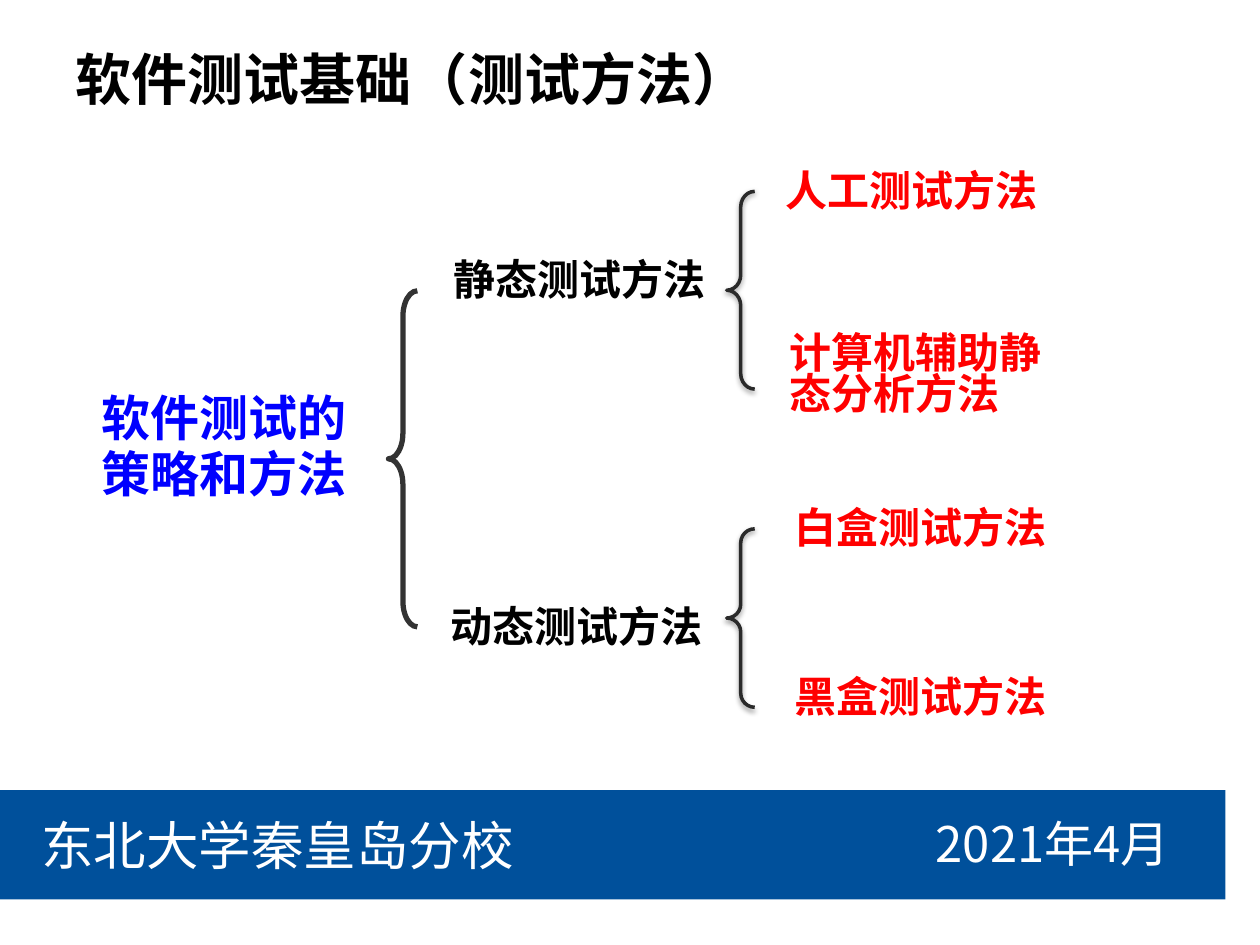
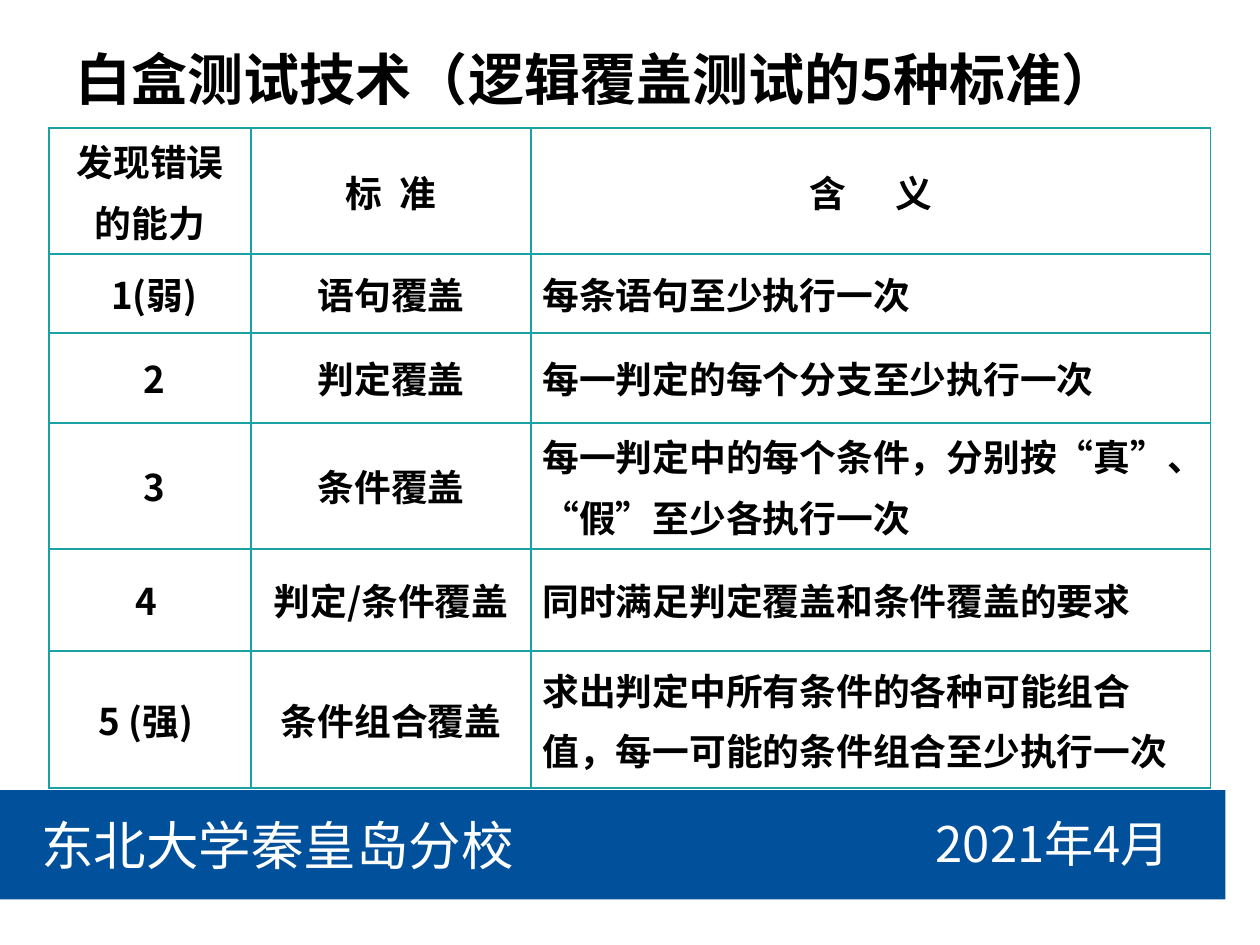
from dataclasses import dataclass

from lxml import etree
from pptx import Presentation
from pptx.dml.color import RGBColor
from pptx.enum import shapes, text
from pptx.oxml import parse_xml
from pptx.oxml import ns
from pptx.util import Pt

CENTER = text.PP_ALIGN.CENTER
LEFT = text.PP_ALIGN.LEFT


@dataclass(frozen=True)
class Theme:
    font: str = "Noto Sans CJK SC"
    title_font: str = "Cabin"
    band: str = "00509B"
    white: str = "FFFFFF"
    black: str = "000000"
    root: str = "0000FF"
    leaf: str = "FF0000"
    root_brace: str = "333333"
    branch_brace: str = "2A2A2A"
    grid: str = "1AA1A4"
    title_size: int = 32
    school_size: int = 30
    date_size: int = 28
    root_size: int = 28
    branch_size: int = 24
    table_size: int = 21


T = Theme()


def rgb(value):
    return RGBColor.from_string(value)


def style(p, size, color, bold=True, align=LEFT, spacing=None):
    p.alignment = align
    if spacing:
        p.line_spacing = spacing
    f = p.font
    f.size, f.bold, f.name = Pt(size), bold, T.font
    f.color.rgb = rgb(color)
    def_rpr = p._p.pPr.find(ns.qn("a:defRPr"))
    etree.SubElement(def_rpr, ns.qn("a:ea"), typeface=T.font)


def write(tf, lines, size, color, gap=0, **look):
    for i, line in enumerate(lines):
        p = tf.add_paragraph() if i else tf.paragraphs[0]
        p.add_run().text = line
        if i and gap:
            p.space_before = Pt(gap)
        style(p, size, color, **look)


def add_box(s, x, y, w, h, wrap=False):
    tf = s.shapes.add_textbox(Pt(x), Pt(y), Pt(w), Pt(h)).text_frame
    tf.word_wrap = wrap
    return tf


def add_label(s, x, y, w, h, lines, size, color, **look):
    write(add_box(s, x, y, w, h), lines, size, color, **look)


def add_frame(prs, topic, detail):
    s = prs.slides.add_slide(prs.slide_layouts[6])
    band = s.shapes.add_shape(shapes.MSO_SHAPE.RECTANGLE, 0, Pt(451.5), Pt(700.2), Pt(62.4))
    band.shadow.inherit = False
    band.fill.solid()
    band.fill.fore_color.rgb = rgb(T.band)
    band.line.fill.background()
    add_label(s, 16.5, 461.3, 287, 44, ["东北大学秦皇岛分校"], T.school_size, T.white, bold=False)
    add_label(s, 517.5, 461.3, 168, 37.5, ["2021年4月"], T.date_size, T.white,
              bold=False, align=CENTER)

    tf = add_box(s, 36.2, 18.6, 656, 52, wrap=True)
    tf.vertical_anchor = text.MSO_ANCHOR.MIDDLE
    p = tf.paragraphs[0]
    for part, face in ((topic + "（", T.title_font), (detail, T.font), ("）", T.title_font)):
        r = p.add_run()
        r.text, r.font.name = part, face
    style(p, T.title_size, T.black)
    return s


def add_brace(s, x, y, w, h, curve, color, weight, shadow=False):
    sp = s.shapes.add_shape(shapes.MSO_SHAPE.LEFT_BRACE, Pt(x), Pt(y), Pt(w), Pt(h))
    sp.adjustments[0] = curve
    sp.fill.background()
    sp.line.color.rgb = rgb(color)
    sp.line.width = Pt(weight)
    sp.shadow.inherit = False
    if shadow:
        effects = sp._element.spPr.find(ns.qn("a:effectLst"))
        effects.append(parse_xml(
            f'<a:outerShdw {ns.nsdecls("a")} blurRad="{Pt(3.1)}" dist="{Pt(1.6)}" '
            'dir="5400000" rotWithShape="0"><a:srgbClr val="000000">'
            '<a:alpha val="38000"/></a:srgbClr></a:outerShdw>'))


def add_borders(cell):
    tc_pr = cell._tc.get_or_add_tcPr()
    for i, side in enumerate(("lnL", "lnR", "lnT", "lnB")):
        tc_pr.insert(i, parse_xml(
            f'<a:{side} {ns.nsdecls("a")} w="{Pt(1)}"><a:solidFill>'
            f'<a:srgbClr val="{T.grid}"/></a:solidFill></a:{side}>'))


def add_grid(s, x, y, widths, heights, rows):
    table = s.shapes.add_table(len(rows), len(widths), Pt(x), Pt(y),
                               Pt(sum(widths)), Pt(sum(heights))).table
    table.first_row = table.horz_banding = False
    for column, width in zip(table.columns, widths):
        column.width = Pt(width)
    for i, (height, row) in enumerate(zip(heights, rows)):
        table.rows[i].height = Pt(height)
        for j, value in enumerate(row):
            cell = table.cell(i, j)
            cell.fill.background()
            cell.vertical_anchor = text.MSO_ANCHOR.MIDDLE
            cell.margin_left = cell.margin_right = Pt(6.5)
            add_borders(cell)
            write(cell.text_frame, value.split("\n"), T.table_size, T.black,
                  gap=4.2, align=LEFT if i and j == 2 else CENTER)
    return table


def spread(cell, tracking):
    p = cell.text_frame.paragraphs[0]
    first = p.runs[0]
    first.text, last = first.text[:-1], first.text[-1]
    first.font._element.set("spc", str(round(tracking * 100)))
    p.add_run().text = last


def build_methods(prs):
    s = add_frame(prs, "软件测试基础", "测试方法")
    add_label(s, 50, 220.5, 156, 71, ["软件测试的", "策略和方法"], T.root_size, T.root,
              align=CENTER, spacing=0.95)
    for x, y, w, name in ((248, 143.5, 166.5, "静态测试方法"),
                          (243, 342, 173, "动态测试方法")):
        add_label(s, x, y, w, 34.5, [name], T.branch_size, T.black, align=CENTER, spacing=0.95)
    for x, y, name in ((440.5, 92.4, "人工测试方法"),
                       (446, 285, "白盒测试方法"),
                       (446, 381.5, "黑盒测试方法")):
        add_label(s, x, y, 160.5, 34.5, [name], T.branch_size, T.leaf,
                  align=CENTER, spacing=0.95)
    add_label(s, 444, 188.8, 160.5, 53, ["计算机辅助静", "态分析方法"], T.branch_size, T.leaf,
              spacing=0.8)
    add_brace(s, 222, 166.2, 16.5, 192, 0.89, T.root_brace, 3)
    for y, h, curve in ((109.4, 113, 0.55), (302.2, 102, 0.5)):
        add_brace(s, 415.3, y, 16, h, curve, T.branch_brace, 2, shadow=True)


def build_coverage(prs):
    s = add_frame(prs, "白盒测试技术", "逻辑覆盖测试的5种标准")
    rows = (
        ("发现错误\n的能力", "标 准", "含 义"),
        (" 1(弱)", "语句覆盖", "每条语句至少执行一次"),
        (" 2", "判定覆盖", "每一判定的每个分支至少执行一次"),
        (" 3", "条件覆盖", "每一判定中的每个条件，分别按“真”、\n“假”至少各执行一次"),
        ("4 ", "判定/条件覆盖", "同时满足判定覆盖和条件覆盖的要求"),
        ("5 (强) ", "条件组合覆盖", "求出判定中所有条件的各种可能组合\n值，每一可能的条件组合至少执行一次"),
    )
    table = add_grid(s, 28, 73.2, (115.5, 160, 388.3), (72, 45, 51.5, 72, 58.3, 78.3), rows)
    spread(table.cell(0, 1), 2.4)
    spread(table.cell(0, 2), 11.7)


def main():
    prs = Presentation()
    prs.slide_width, prs.slide_height = Pt(720), Pt(540)
    build_methods(prs)
    build_coverage(prs)
    prs.save("out.pptx")


if __name__ == "__main__":
    main()
